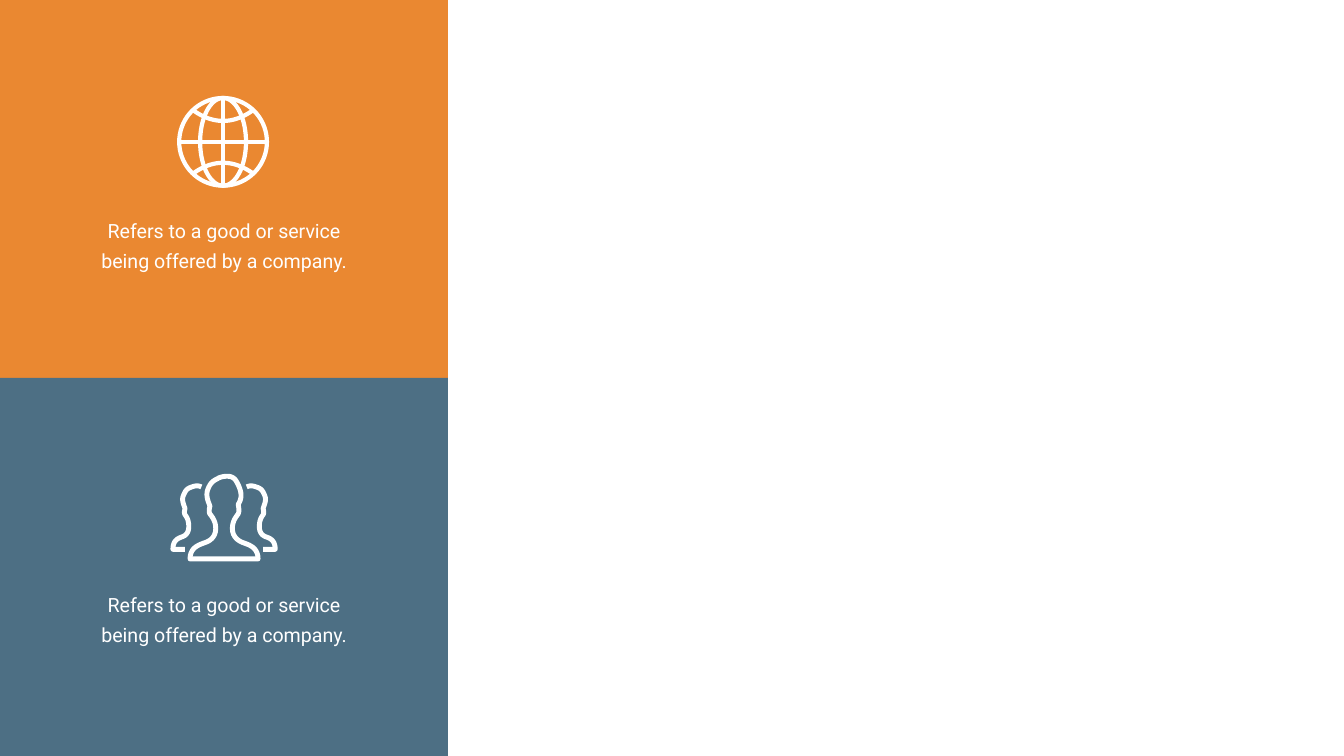
from dataclasses import dataclass
from math import cos, pi, sin

from pptx import Presentation
from pptx.dml.color import RGBColor
from pptx.enum.shapes import MSO_SHAPE as SHAPE
from pptx.enum.text import PP_ALIGN as ALIGN
from pptx.slide import Slide
from pptx.util import Inches, Pt

Point = tuple[float, float]

ORANGE = RGBColor(0xEA, 0x88, 0x31)
BLUE = RGBColor(0x4D, 0x6F, 0x84)
WHITE = RGBColor(0xFF, 0xFF, 0xFF)

WIDTH, HEIGHT = Inches(26.66), Inches(15)
COL, ROW = WIDTH // 3, HEIGHT // 2
CAPTION = "Refers to a good or service being offered by a company."
STEPS = 10


@dataclass
class Stroke:
    points: list[Point]
    closed: bool = False


@dataclass
class Panel:
    row: int
    color: RGBColor
    icon: list[Stroke]
    icon_left: float
    line_width: float
    caption_top: float


def ellipse(rx: float, ry: float, cx: float, cy: float) -> Stroke:
    turns = [2 * pi * i / 72 for i in range(72)]
    return Stroke([(cx + rx * cos(t), cy + ry * sin(t)) for t in turns], True)


def bezier(knots: list[Point]) -> list[Point]:
    """Sample chained cubic curves: a start, then two controls and an end for each."""
    points = [knots[0]]
    for k in range(0, len(knots) - 1, 3):
        a, b, c, d = knots[k:k + 4]
        for i in range(1, STEPS + 1):
            t = i / STEPS
            u = 1 - t
            points.append(tuple(
                u**3 * a[n] + 3 * u * u * t * b[n] + 3 * u * t * t * c[n] + t**3 * d[n]
                for n in (0, 1)))
    return points


def globe() -> list[Stroke]:
    c, r = 91.5, 87
    offsets = range(-60, 61, 5)
    parallels = [Stroke([(c + x, c + side * (41.5 + 0.006 * x * x)) for x in offsets])
                 for side in (-1, 1)]
    return [ellipse(r, r, c, c), ellipse(45.5, r, c, c),
            Stroke([(c - r, c), (c + r, c)]), Stroke([(c, c - r), (c, c + r)]),
            *parallels]


def people() -> list[Stroke]:
    front = bezier([
        (39, 169), (39, 146), (57, 141), (69, 136.5),
        (69, 136.5), (90, 131), (90, 109), (90, 94), (83, 86), (79.5, 81),
        (77, 79), (76, 73), (78.5, 64), (75, 55), (69.5, 43), (74.5, 30.5),
        (80, 17), (85, 14), (94, 9.5), (97, 7.5), (104, 5), (112, 5),
        (116.5, 5), (120.5, 5.5), (123.5, 7.5), (128, 10), (131, 14), (135.5, 24),
        (143.5, 42), (140, 52), (134.5, 61), (137, 73), (136, 78), (133.5, 81),
        (131, 85), (123, 93), (123, 109), (123, 130), (143, 136), (143.5, 136.5),
        (156, 141), (174, 146), (174, 169)])
    right = bezier([
        (151.5, 26), (154, 25), (157, 24), (160, 24),
        (166, 24), (172, 27), (174, 27.5), (180.5, 30.5), (183, 33), (187.5, 44),
        (191, 53), (186, 62), (184, 69), (186, 77), (185, 80), (183.5, 82),
        (181, 85.5), (176.5, 91), (176.5, 105), (176.5, 120), (186, 124), (190.5, 125.5),
        (199, 128.5), (208, 133), (208, 150)]) + [(184, 150)]
    left = [(213 - x, y) for x, y in right]
    return [Stroke(front, True), Stroke(right), Stroke(left)]


def draw_icon(s: Slide, panel: Panel) -> None:
    """Join the strokes, given in hundredths of an inch, into one outline."""
    left, top = Inches(panel.icon_left), panel.row * ROW + Inches(1.9)
    builder = None
    for stroke in panel.icon:
        start, *rest = [(left + Inches(x / 100), top + Inches(y / 100))
                        for x, y in stroke.points]
        if builder is None:
            builder = s.shapes.build_freeform(*start)
        else:
            builder.move_to(*start)
        builder.add_line_segments(rest, close=stroke.closed)
    sp = builder.convert_to_shape()
    sp.shadow.inherit = False
    sp.fill.background()
    sp.line.color.rgb = WHITE
    sp.line.width = Pt(panel.line_width)


def draw_caption(s: Slide, panel: Panel) -> None:
    width = Inches(5.45)
    top = panel.row * ROW + Inches(panel.caption_top)
    tf = s.shapes.add_textbox((COL - width) // 2, top, width, Inches(1.39)).text_frame
    tf.word_wrap = True
    tf.margin_left = tf.margin_right = Inches(0.24)
    tf.margin_top = tf.margin_bottom = Inches(0.12)
    p = tf.paragraphs[0]
    p.text = CAPTION
    p.alignment = ALIGN.CENTER
    p.line_spacing = Pt(43)
    font = p.runs[0].font
    font.name, font.size = "Roboto", Pt(28)
    font.color.rgb = WHITE


def draw_panel(s: Slide, panel: Panel) -> None:
    sp = s.shapes.add_shape(SHAPE.RECTANGLE, 0, panel.row * ROW, COL, ROW)
    sp.shadow.inherit = False
    sp.fill.solid()
    sp.fill.fore_color.rgb = panel.color
    sp.line.fill.background()
    draw_caption(s, panel)
    draw_icon(s, panel)


def main() -> None:
    prs = Presentation()
    prs.slide_width, prs.slide_height = WIDTH, HEIGHT
    s = prs.slides.add_slide(prs.slide_layouts[6])
    for panel in (Panel(0, ORANGE, globe(), 3.51, 6, 4.1),
                  Panel(1, BLUE, people(), 3.38, 7, 4.02)):
        draw_panel(s, panel)
    prs.save("out.pptx")


if __name__ == "__main__":
    main()
